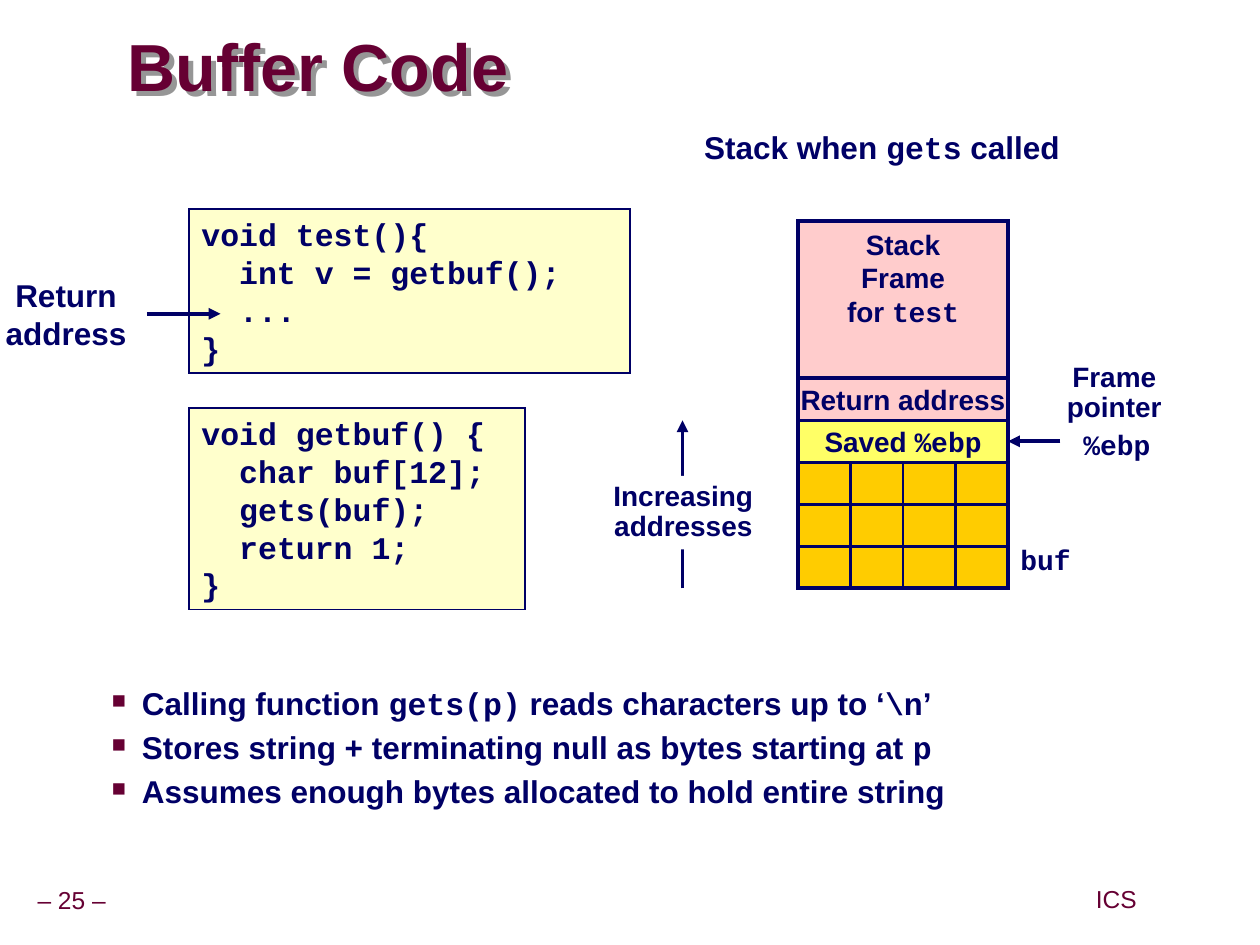
from lxml import etree
from pptx import Presentation
from pptx.dml.color import RGBColor
from pptx.enum.shapes import MSO_CONNECTOR, MSO_SHAPE
from pptx.enum.text import MSO_ANCHOR, MSO_AUTO_SIZE, PP_ALIGN
from pptx.oxml.ns import qn
from pptx.util import Pt

RECT = MSO_SHAPE.RECTANGLE
LINE = MSO_CONNECTOR.STRAIGHT
LEFT, MID = PP_ALIGN.LEFT, PP_ALIGN.CENTER
TOP, CORE = MSO_ANCHOR.TOP, MSO_ANCHOR.MIDDLE
SANS, MONO = "Arial", "Courier New"
NAVY, WINE = "000066", "660033"
CREAM, PINK, YELLOW, GOLD = "FFFFCC", "FFCCCC", "FFFF66", "FFCC00"

# The stack: left edge, top edge, width, row height
STACK_X, STACK_Y, STACK_W, ROW = 456, 126.2, 120, 24
FRAME_H = 90
CELL_W = STACK_W / 4


def color(code):
    return RGBColor.from_string(code)


def node(parent, tag, **attrs):
    child = etree.SubElement(parent, qn(tag))
    for key, value in attrs.items():
        child.set(key, str(value))
    return child


def write(shape, text, size=16, tint=NAVY, bold=True, align=MID,
          anchor=TOP, space=1.0, pad=(7.2, 3.6), wrap=False):
    """Fill a shape with lines of text; words between backticks are code."""
    frame = shape.text_frame
    frame.auto_size = MSO_AUTO_SIZE.NONE
    frame.word_wrap = wrap
    frame.vertical_anchor = anchor
    frame.margin_left = frame.margin_right = Pt(pad[0])
    frame.margin_top = frame.margin_bottom = Pt(pad[1])
    frame.text = text.replace("`", "")
    for para, line in zip(frame.paragraphs, text.split("\n")):
        para.alignment = align
        para.line_spacing = space
        para.clear()
        for i, part in enumerate(line.split("`")):
            if not part:
                continue
            run = para.add_run()
            run.text = part
            font = run.font
            font.name = MONO if i % 2 else SANS
            font.size = Pt(size)
            font.bold = bold
            font.color.rgb = color(tint)
    return frame


def add_box(slide, x, y, w, h, fill=None, line=1.5):
    box = slide.shapes.add_shape(RECT, Pt(x), Pt(y), Pt(w), Pt(h))
    box.shadow.inherit = False
    if fill:
        box.fill.solid()
        box.fill.fore_color.rgb = color(fill)
    else:
        box.fill.background()
    if line:
        box.line.color.rgb = color(NAVY)
        box.line.width = Pt(line)
        node(box._element.spPr.find(qn("a:ln")), "a:miter", lim=800000)
    else:
        box.line.fill.background()
    return box


def add_label(slide, x, y, w, h, text, **style):
    box = slide.shapes.add_textbox(Pt(x), Pt(y), Pt(w), Pt(h))
    return write(box, text, **style)


def add_arrow(slide, x1, y1, x2, y2):
    arrow = slide.shapes.add_connector(LINE, Pt(x1), Pt(y1), Pt(x2), Pt(y2))
    arrow.line.color.rgb = color(NAVY)
    arrow.line.width = Pt(2.25)
    props = arrow._element.spPr
    node(props.find(qn("a:ln")), "a:tailEnd", type="triangle")
    node(props, "a:effectLst")
    return arrow


def add_title(slide, text):
    title = slide.shapes.title
    title.left, title.top = Pt(73), Pt(18)
    title.width, title.height = Pt(611), Pt(45)
    write(title, text, size=38, tint=WINE, align=LEFT, anchor=CORE,
          space=0.87, pad=(0, 0), wrap=True)
    title.fill.background()
    effects = node(title._element.spPr, "a:effectLst")
    shade = node(effects, "a:outerShdw", dist=Pt(4), dir=2700000)
    node(shade, "a:srgbClr", val="969696")


def add_code(slide, x, y, w, h, lines):
    box = add_box(slide, x, y, w, h, CREAM, 1)
    write(box, "\n".join(f"`{line}`" for line in lines), size=18, align=LEFT)


def add_bullets(slide, x, y, w, h, lines):
    frame = add_label(slide, x, y, w, h, "\n".join(lines), size=18,
                      align=LEFT, space=0.9, wrap=True)
    for i, para in enumerate(frame.paragraphs):
        para.space_before = Pt(5.6 if i else 0)
        props = para._p.get_or_add_pPr()
        props.set("marL", str(Pt(44)))
        props.set("indent", str(Pt(-17.3)))
        node(node(props, "a:buClr"), "a:srgbClr", val=WINE)
        node(props, "a:buSzPct", val=62000)
        node(props, "a:buChar", char="■")


def add_stack(slide):
    """Draw the stack and return the box of the saved pointer."""
    ret_y = STACK_Y + FRAME_H
    buf_y = ret_y + 2 * ROW
    ret = add_box(slide, STACK_X, ret_y, STACK_W, ROW, PINK)
    write(ret, "Return address", anchor=CORE)
    saved = add_box(slide, STACK_X, ret_y + ROW, STACK_W, ROW, YELLOW)
    write(saved, "Saved `%ebp`", anchor=CORE)
    frame = add_box(slide, STACK_X, STACK_Y, STACK_W, FRAME_H, PINK, 2.25)
    write(frame, "Stack\nFrame\nfor `test`")
    add_box(slide, STACK_X, buf_y, STACK_W, 3 * ROW, GOLD)
    add_box(slide, STACK_X, STACK_Y, STACK_W, FRAME_H + 5 * ROW, line=2.25)
    for row in range(3):
        for col in range(4):
            add_box(slide, STACK_X + col * CELL_W, buf_y + row * ROW,
                    CELL_W, ROW)
    return saved


def main():
    deck = Presentation()
    deck.slide_width, deck.slide_height = Pt(720), Pt(540)
    slide = deck.slides.add_slide(deck.slide_layouts[5])
    tight = {"space": 0.9, "pad": (3.6, 3.6)}
    foot = dict(tight, size=14, tint=WINE, bold=False, anchor=CORE)

    add_title(slide, "Buffer Code")
    add_label(slide, -6.3, 504, 94.5, 22.5, "– 25 –", **foot)
    add_label(slide, 622.5, 503.5, 31, 22.5, "ICS", **foot)
    add_bullets(slide, 30, 390, 650, 102, [
        "Calling function `gets(p)` reads characters up to ‘`\\n`’",
        "Stores string + terminating null as bytes starting at `p`",
        "Assumes enough bytes allocated to hold entire string",
    ])

    add_code(slide, 108, 233.2, 192, 115.2, [
        "void getbuf() {", "  char buf[12];", "  gets(buf);",
        "  return 1;", "}"])
    add_code(slide, 108, 119.5, 252, 93.5, [
        "void test(){", "  int v = getbuf();", "  ...", "}"])
    add_label(slide, -4, 154, 83.5, 50.5, "Return\naddress", size=18,
              anchor=CORE)
    add_arrow(slide, 84, 179.3, 126, 179.3)

    saved = add_stack(slide)
    add_label(slide, 399, 72, 210, 26.5, "Stack when `gets` called",
              size=18, **tight)
    add_label(slide, 576, 306.5, 43, 26.5, "`buf`", align=LEFT)
    add_label(slide, 612, 240.5, 52.5, 26.5, "`%ebp`", align=LEFT)
    add_label(slide, 606, 204, 61.5, 42, "Frame\npointer", **tight)
    pointer_y = STACK_Y + FRAME_H + 1.5 * ROW
    add_arrow(slide, 606, pointer_y, 576, pointer_y).end_connect(saved, 3)

    add_arrow(slide, 390, 336.2, 390, 240.2)
    note = add_box(slide, 347, 272, 87, 42, "FFFFFF", None)
    write(note, "Increasing\naddresses", **tight)

    deck.save("out.pptx")


if __name__ == "__main__":
    main()
